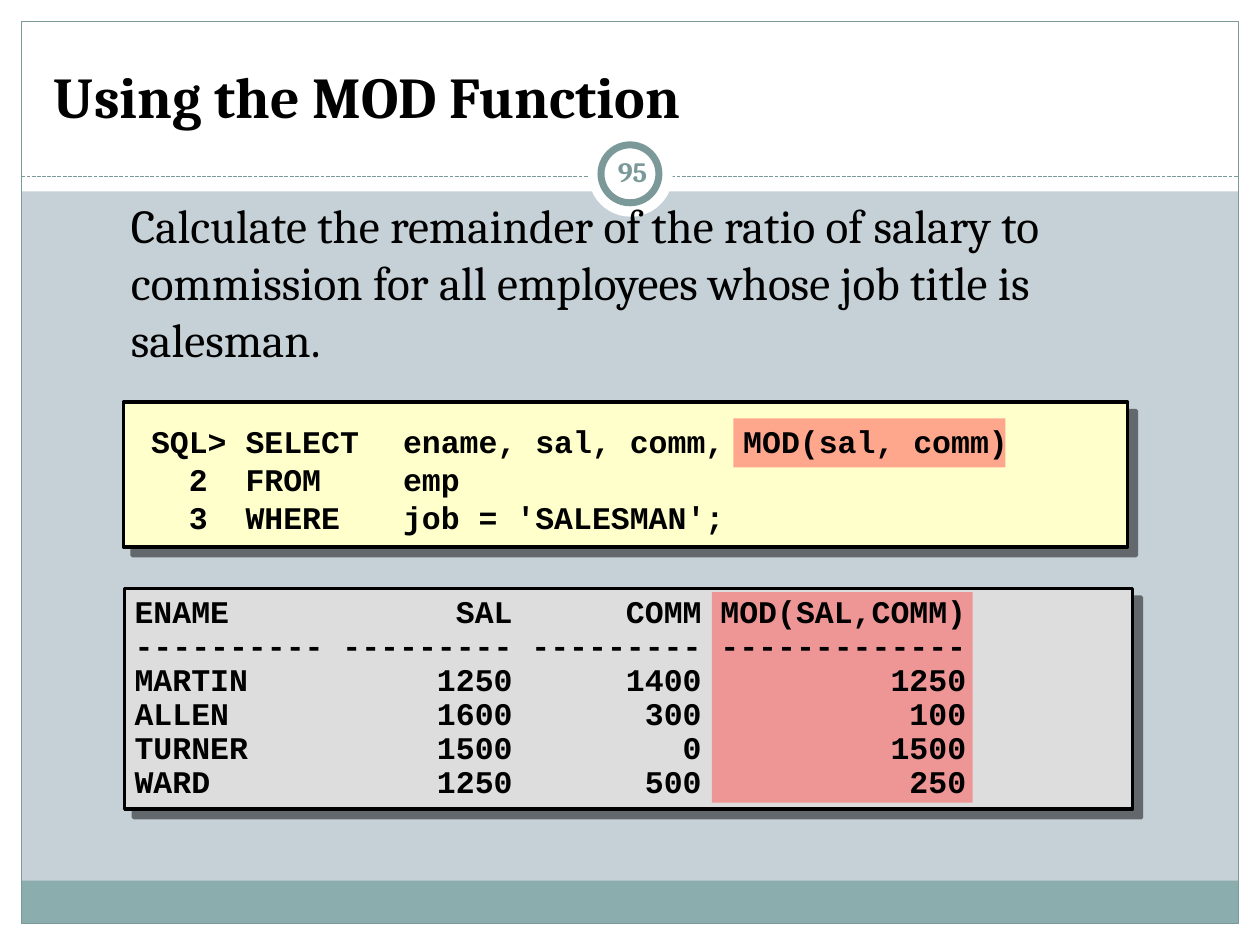
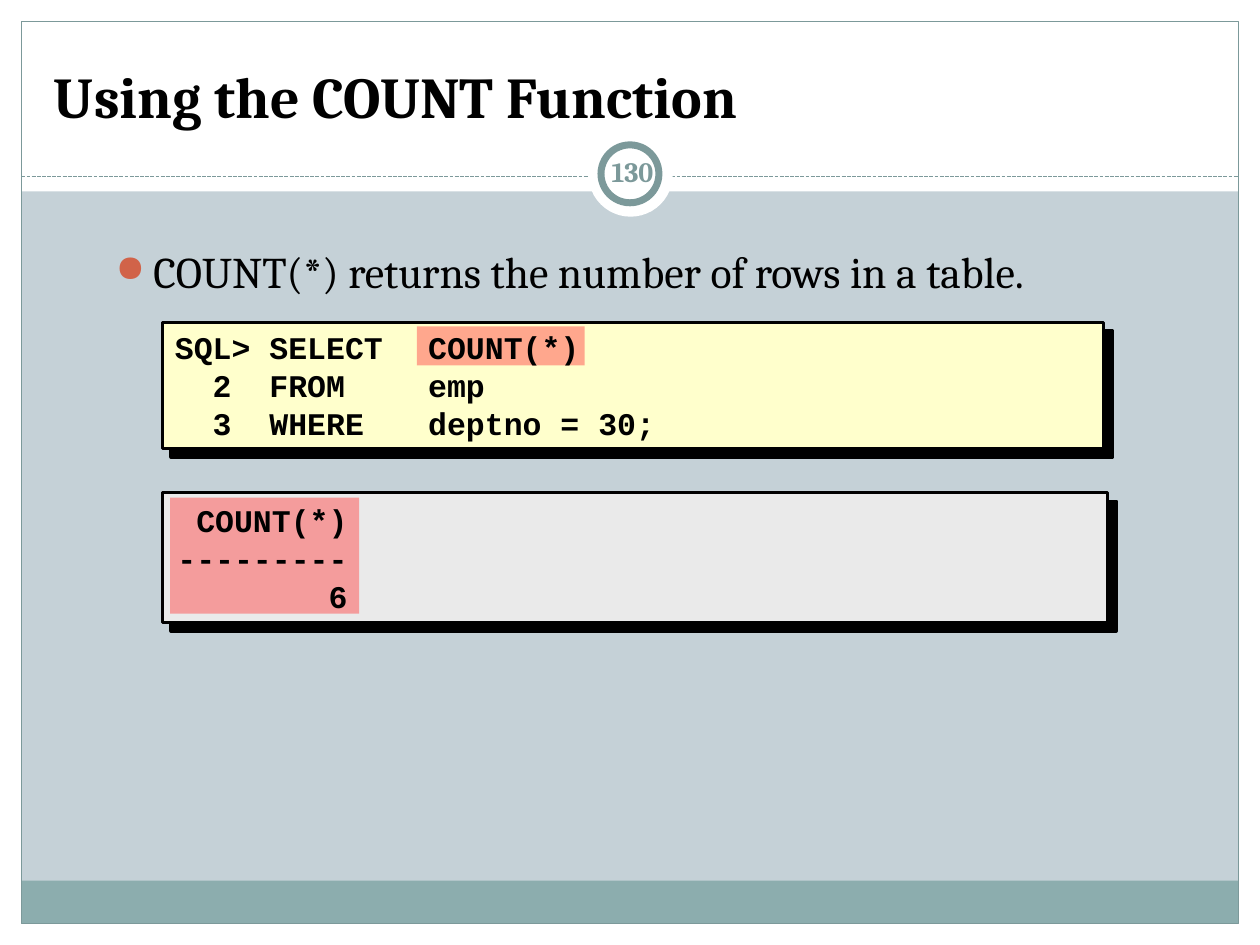
from dataclasses import dataclass

from lxml import etree
from pptx import Presentation
from pptx import util as u
from pptx.dml.color import RGBColor
from pptx.enum import dml, shapes, text
from pptx.oxml.ns import qn

COLUMNS, ROWS = 100, 75
WIDTH, HEIGHT = u.Inches(10), u.Inches(7.5)


@dataclass(frozen=True)
class Theme:
    serif: str = "Cambria"
    mono: str = "Courier New"
    ink: str = "000000"
    paper: str = "FFFFFF"
    background: str = "C5D1D7"
    band: str = "8CADAE"
    rule: str = "7C999A"
    bullet: str = "D16349"
    highlight: str = "FF5050"
    code_fill: str = "FFFFCC"
    title_size: int = 33
    code_size: int = 18
    number_size: int = 16
    frame_width: float = 0.75
    ring_width: float = 4
    panel_width: float = 2


def columns(count):
    return u.Emu(round(WIDTH * count / COLUMNS))


def rows(count):
    return u.Emu(round(HEIGHT * count / ROWS))


def place(box):
    left, top, width, height = box
    return columns(left), rows(top), columns(width), rows(height)


def add_xml(parent, tag, **attributes):
    child = etree.SubElement(parent, qn(tag))
    for name, value in attributes.items():
        child.set(name, str(value))
    return child


def set_alpha(color_element, percent):
    add_xml(color_element, "a:alpha", val=percent * 1000)


def write(shape, lines, *, font, size, color, bold=False, align=None,
          anchor=text.MSO_ANCHOR.TOP, inset=1, spacing=None, tabs=(), bullet=None):
    """Fill a shape with one paragraph per line; tabs are (column, "l" or "r")."""
    frame = shape.text_frame
    frame.word_wrap = True
    frame.vertical_anchor = anchor
    frame.margin_left = frame.margin_right = columns(inset)
    frame.margin_top = frame.margin_bottom = rows(0.5)
    for index, line in enumerate(lines):
        paragraph = frame.add_paragraph() if index else frame.paragraphs[0]
        paragraph.alignment = align or text.PP_ALIGN.LEFT
        if spacing:
            paragraph.line_spacing = spacing
        properties = paragraph._p.get_or_add_pPr()
        if bullet:
            properties.set("marL", str(columns(3)))
            properties.set("indent", str(-columns(3)))
            add_xml(add_xml(properties, "a:buClr"), "a:srgbClr", val=bullet)
            add_xml(properties, "a:buSzPct", val=85000)
            add_xml(properties, "a:buChar", char="●")
        if tabs:
            tab_list = add_xml(properties, "a:tabLst")
            for position, kind in tabs:
                add_xml(tab_list, "a:tab", pos=columns(position), algn=kind)
        run = paragraph.add_run()
        run.text = line
        run.font.name = font
        run.font.size = u.Pt(size)
        run.font.bold = bold
        run.font.color.rgb = RGBColor.from_string(color)


class Deck:
    def __init__(self, theme):
        self.theme = theme
        self.presentation = Presentation()
        self.presentation.slide_width = WIDTH
        self.presentation.slide_height = HEIGHT
        self.slide = None

    def shape(self, box, fill=None, line=None, line_width=0.75,
              kind=shapes.MSO_SHAPE.RECTANGLE):
        shape = self.slide.shapes.add_shape(kind, *place(box))
        shape.shadow.inherit = False
        if fill:
            shape.fill.solid()
            shape.fill.fore_color.rgb = RGBColor.from_string(fill)
        else:
            shape.fill.background()
        if line:
            shape.line.color.rgb = RGBColor.from_string(line)
            shape.line.width = u.Pt(line_width)
        else:
            shape.line.fill.background()
        return shape

    def circle(self, box, **style):
        return self.shape(box, kind=shapes.MSO_SHAPE.OVAL, **style)

    def dashed_rule(self, left, right, row):
        rule = self.slide.shapes.add_connector(
            shapes.MSO_CONNECTOR.STRAIGHT,
            columns(left), rows(row), columns(right), rows(row))
        rule.line.color.rgb = RGBColor.from_string(self.theme.rule)
        rule.line.width = u.Pt(self.theme.frame_width)
        rule.line.dash_style = dml.MSO_LINE.SQUARE_DOT
        add_xml(rule._element.spPr, "a:effectLst")

    def text(self, box, lines, **style):
        style = {"font": self.theme.serif, "color": self.theme.ink} | style
        write(self.slide.shapes.add_textbox(*place(box)), lines, **style)

    def new_slide(self, title, number):
        """Start a slide with the shared frame, title and number badge."""
        theme = self.theme
        self.slide = self.presentation.slides.add_slide(
            self.presentation.slide_layouts[6])
        background = self.slide.background.fill
        background.solid()
        background.fore_color.rgb = RGBColor.from_string(theme.background)
        edge = 1.7
        inner = COLUMNS - 2 * edge
        for box in ((0, ROWS - edge, COLUMNS, edge), (0, 0, COLUMNS, 15.2),
                    (0, 0, edge, ROWS), (COLUMNS - edge, 0, edge, ROWS)):
            self.shape(box, fill=theme.paper)
        self.shape((edge, 69.9, inner, 3.4), fill=theme.band)
        self.shape((edge, edge, inner, ROWS - 2 * edge),
                   line=theme.rule, line_width=theme.frame_width)
        self.dashed_rule(edge, COLUMNS - edge, 14)
        self.circle((46.7, 10.5, 6.7, 6.7), fill=theme.paper)
        self.circle((47.7, 11.5, 4.6, 4.6), fill=theme.paper,
                    line=theme.rule, line_width=theme.ring_width)
        self.text((3.3, 2.5, 93.3, 8.3), [title], size=theme.title_size,
                  bold=True, anchor=text.MSO_ANCHOR.BOTTOM)
        self.text((47.7, 11.2, 5, 4.8), [str(number)], size=theme.number_size,
                  color=theme.rule, bold=True, inset=0.5,
                  align=text.PP_ALIGN.CENTER, anchor=text.MSO_ANCHOR.MIDDLE)

    def panel(self, box, fill, shadow_percent):
        """Draw an outlined box with a hard shadow to the lower right."""
        shape = self.shape(box, fill=fill, line=self.theme.ink,
                           line_width=self.theme.panel_width)
        effects = shape._element.spPr.find(qn("a:effectLst"))
        shadow = add_xml(effects, "a:outerShdw", blurRad=0, dist=u.Pt(7.1),
                         dir=45 * 60000, algn="ctr", rotWithShape=0)
        set_alpha(add_xml(shadow, "a:srgbClr", val=self.theme.ink), shadow_percent)

    def highlight(self, box):
        shape = self.shape(box, fill=self.theme.highlight)
        set_alpha(shape._element.spPr.find(qn("a:solidFill"))[0], 50)

    def code(self, box, lines, **style):
        self.text(box, lines, font=self.theme.mono, size=self.theme.code_size,
                  bold=True, **style)

    def result(self, box, table, stops, spacing=None):
        """Write query output as rows whose numbers end at right tab stops."""
        self.code(box, ["\t".join(row) for row in table], spacing=spacing,
                  tabs=[(stop, "r") for stop in stops])


def add_mod_slide(deck):
    deck.new_slide("Using the MOD Function", 95)
    deck.text((9.4, 15.1, 80.8, 14.3),
              ["Calculate the remainder of the ratio of salary to commission "
               "for all employees whose job title is salesman."], size=27)
    deck.panel((9.8, 31.9, 79.7, 11.5), deck.theme.code_fill, 50)
    deck.panel((9.9, 46.7, 80, 17.5), "DDDDDD", 50)
    deck.highlight((58.2, 33.2, 21.6, 3.9))
    deck.highlight((56.5, 47, 20.7, 16.7))
    deck.code((11, 33, 78.2, 10.4),
              ["SQL> SELECT\tename, sal, comm, MOD(sal, comm)",
               "  2  FROM\temp",
               "  3  WHERE\tjob = 'SALESMAN';"], tabs=[(20, "l")])
    table = [("ENAME", "SAL", "COMM", "MOD(SAL,COMM)"),
             tuple("-" * length for length in (10, 9, 9, 13)),
             ("MARTIN", "1250", "1400", "1250"),
             ("ALLEN", "1600", "300", "100"),
             ("TURNER", "1500", "0", "1500"),
             ("WARD", "1250", "500", "250")]
    deck.result((9.7, 46.8, 79.7, 17.3), table, stops=(30, 45, 66), spacing=0.9)


def add_count_slide(deck):
    deck.new_slide("Using the COUNT Function", 130)
    deck.text((8.2, 18.9, 83.6, 5.1),
              ["COUNT(*) returns the number of rows in a table."],
              size=25, bullet=deck.theme.bullet)
    deck.panel((12.9, 25.6, 74.7, 10), deck.theme.code_fill, 100)
    deck.panel((12.9, 39.1, 75, 10.3), "EAEAEA", 100)
    deck.highlight((33.1, 25.9, 13.3, 3.1))
    deck.highlight((13.5, 39.5, 15, 9.2))
    deck.result((13.1, 39.3, 74.7, 10),
                [("", "COUNT(*)"), ("", "-" * 9), ("", "6")], stops=(13.5,))
    deck.code((12.9, 25.4, 75, 10.3),
              ["SQL> SELECT\tCOUNT(*)",
               "  2  FROM\temp",
               "  3  WHERE\tdeptno = 30;"],
              tabs=[(20.1, "l")], anchor=text.MSO_ANCHOR.MIDDLE)


def main():
    deck = Deck(Theme())
    add_mod_slide(deck)
    add_count_slide(deck)
    deck.presentation.save("out.pptx")


if __name__ == "__main__":
    main()
